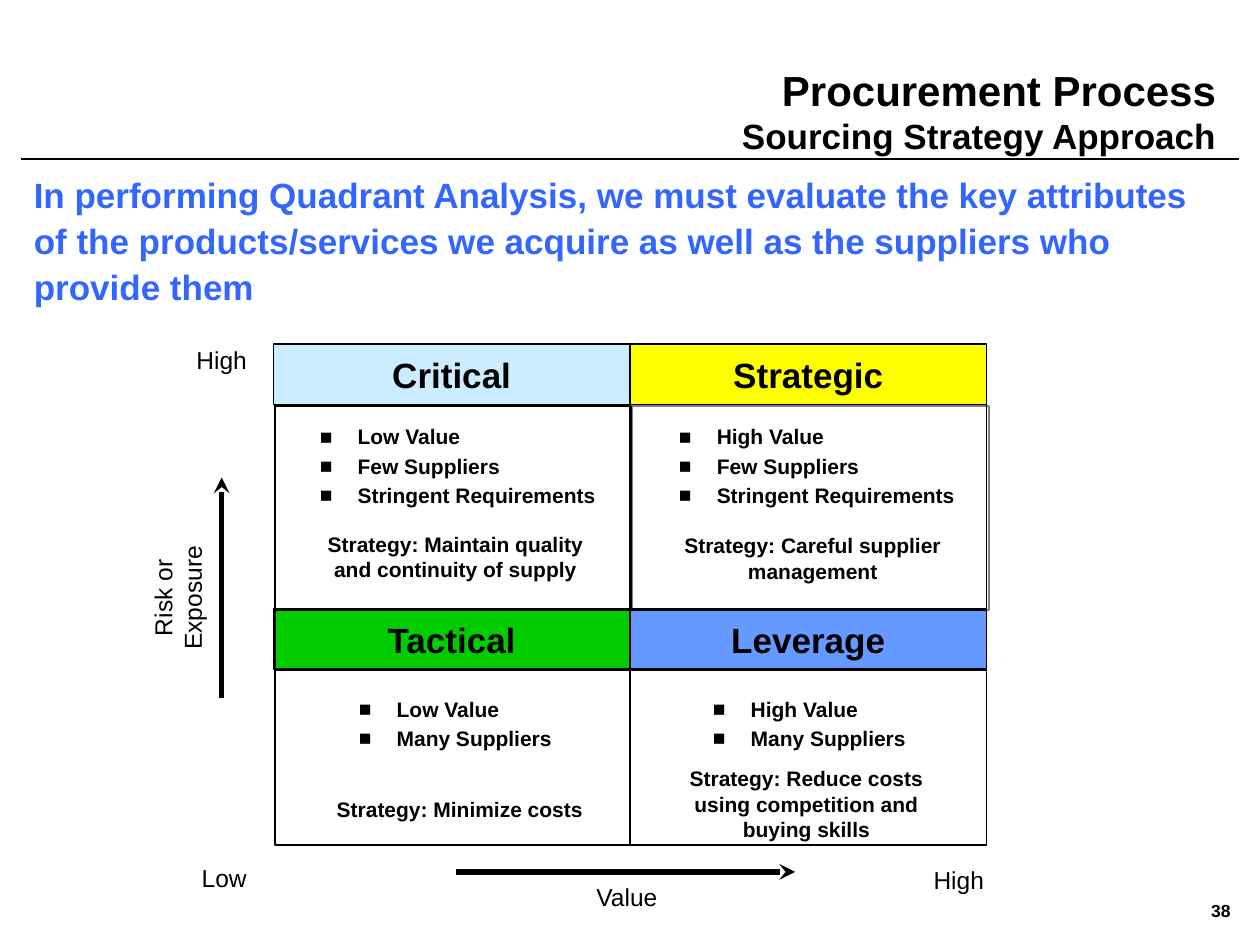
from lxml.etree import SubElement
from pptx import Presentation
from pptx.dml.color import RGBColor
from pptx.enum.shapes import MSO_CONNECTOR, MSO_SHAPE
from pptx.enum.text import MSO_ANCHOR, PP_ALIGN
from pptx.oxml.ns import qn
from pptx.util import Inches, Pt

COLORS = {
    "black": "000000",
    "gray": "808080",
    "headline": "3366FF",
    "critical": "CCECFF",
    "strategic": "FFFF00",
    "tactical": "00CC00",
    "leverage": "6699FF",
}
FONT = "Arial"
CELL_WIDTH = 2.83
HEADER_HEIGHT = 0.48
COLUMNS = (2.17, 5)
HEADER_TOPS = (2.73, 4.83)

# name, column, row, bullets (left, top, width, height, items),
# strategy (left, top, width, height, lines)
QUADRANTS = [
    ("Critical", 0, 0,
     (2.44, 3.33, 2.54, 0.87, ["Low Value", "Few Suppliers", "Stringent Requirements"]),
     (2.5, 4.17, 2.23, 0.5, ["Strategy: Maintain quality", "and continuity of supply"])),
    ("Strategic", 1, 0,
     (5.29, 3.33, 2.52, 0.83, ["High Value", "Few Suppliers", "Stringent Requirements"]),
     (5.33, 4.18, 2.24, 0.5, ["Strategy: Careful supplier", "management"])),
    ("Tactical", 0, 1,
     (2.75, 5.49, 1.76, 0.6, ["Low Value", "Many Suppliers"]),
     (2.57, 6.27, 2.16, 0.3, ["Strategy: Minimize costs"])),
    ("Leverage", 1, 1,
     (5.56, 5.49, 1.76, 0.6, ["High Value", "Many Suppliers"]),
     (5.16, 6.03, 2.48, 0.7,
      ["Strategy: Reduce costs", "using competition and", "buying skills"])),
]
AXIS_LABELS = [
    ("High", 1.46, 2.69, 0.6),
    ("Low", 1.5, 6.8, 0.56),
    ("High", 7.31, 6.82, 0.6),
    ("Value", 4.25, 6.95, 1.45),
]


def rgb(name):
    return RGBColor.from_string(COLORS[name])


def write(paragraph, text, size=12, bold=True, color="black",
          align=PP_ALIGN.LEFT, spacing=None, before=None):
    paragraph.alignment = align
    if spacing:
        paragraph.line_spacing = spacing
    if before:
        paragraph.space_before = Pt(before)
    run = paragraph.add_run()
    run.text = text
    run.font.name = FONT
    run.font.size = Pt(size)
    run.font.bold = bold
    run.font.color.rgb = rgb(color)


def add_bullet(paragraph, indent=0.3):
    properties = paragraph._p.get_or_add_pPr()
    properties.set("marL", str(Inches(indent)))
    properties.set("indent", str(-Inches(indent)))
    color = SubElement(properties, qn("a:buClr"))
    SubElement(color, qn("a:srgbClr"), val=COLORS["black"])
    SubElement(properties, qn("a:buFont"), typeface=FONT)
    SubElement(properties, qn("a:buChar"), char="■")


class SlideBuilder:
    """Holds the slide and draws each kind of element in its common style."""

    def __init__(self, slide):
        self.slide = slide

    def text(self, left, top, width, height, lines, anchor=MSO_ANCHOR.TOP,
             wrap=True, rotation=0, sizes=None, bullets=False, before=None, **style):
        """Writes one paragraph per line; sizes gives each line its own size."""
        box = self.slide.shapes.add_textbox(
            Inches(left), Inches(top), Inches(width), Inches(height))
        box.rotation = rotation
        frame = box.text_frame
        frame.word_wrap = wrap
        frame.vertical_anchor = anchor
        for index, line in enumerate(lines):
            paragraph = frame.add_paragraph() if index else frame.paragraphs[0]
            if bullets:
                add_bullet(paragraph)
            if sizes:
                style["size"] = sizes[index]
            write(paragraph, line, before=before if index else None, **style)

    def rectangle(self, left, top, width, height, fill=None, line="black"):
        shape = self.slide.shapes.add_shape(
            MSO_SHAPE.RECTANGLE,
            Inches(left), Inches(top), Inches(width), Inches(height))
        shape.shadow.inherit = False
        if fill:
            shape.fill.solid()
            shape.fill.fore_color.rgb = rgb(fill)
        else:
            shape.fill.background()
        shape.line.color.rgb = rgb(line)
        shape.line.width = Pt(1)

    def line(self, start_x, start_y, end_x, end_y, width=1, arrow=False):
        connector = self.slide.shapes.add_connector(
            MSO_CONNECTOR.STRAIGHT,
            Inches(start_x), Inches(start_y), Inches(end_x), Inches(end_y))
        connector.line.color.rgb = rgb("black")
        connector.line.width = Pt(width)
        if arrow:
            SubElement(connector.line._get_or_add_ln(), qn("a:tailEnd"), type="stealth")
        SubElement(connector._element.spPr, qn("a:effectLst"))


def draw_heading(builder):
    builder.line(0.17, 1.26, 9.83, 1.26)
    builder.text(2.5, 0.25, 7.25, 1.25,
                 ["Procurement Process", "Sourcing Strategy Approach"],
                 anchor=MSO_ANCHOR.MIDDLE, align=PP_ALIGN.RIGHT, sizes=(24, 20))
    builder.text(0.17, 1.57, 9.56, 0.92,
                 ["In performing Quadrant Analysis, we must evaluate the key attributes "
                  "of the products/services we acquire as well as the suppliers who "
                  "provide them"],
                 anchor=MSO_ANCHOR.BOTTOM, size=20, color="headline", spacing=1.1)
    builder.text(9.42, 7.01, 0.54, 0.44, ["38"], anchor=MSO_ANCHOR.MIDDLE,
                 align=PP_ALIGN.CENTER, size=10)


def draw_axes(builder):
    builder.line(1.76, 5.54, 1.76, 3.79, width=3, arrow=True)
    builder.line(3.62, 6.92, 6.31, 6.92, width=3, arrow=True)
    label = {"size": 14, "bold": False, "align": PP_ALIGN.CENTER}
    builder.text(0.75, 4.46, 1.32, 0.57, ["Risk or", "Exposure"], rotation=270, **label)
    for text, left, top, width in AXIS_LABELS:
        builder.text(left, top, width, 0.33, [text], wrap=False, **label)


def draw_matrix(builder):
    builder.rectangle(2.18, 3.22, CELL_WIDTH, 1.62)
    builder.rectangle(5.02, 3.22, CELL_WIDTH, 1.62, line="gray")
    for name, column, row, _, _ in QUADRANTS:
        builder.rectangle(COLUMNS[column], HEADER_TOPS[row],
                          CELL_WIDTH, HEADER_HEIGHT, fill=name.lower())
    builder.rectangle(2.18, 3.21, 5.65, 3.5)
    builder.line(5, 3.2, 5, 6.71)
    for y in (4.84, 5.32):
        builder.line(2.18, y, 7.83, y)
    for name, column, row, bullets, strategy in QUADRANTS:
        builder.text(COLUMNS[column], HEADER_TOPS[row] + 0.03, CELL_WIDTH, 0.43,
                     [name], size=20, align=PP_ALIGN.CENTER)
        builder.text(*bullets, bullets=True, spacing=0.95, before=3)
        builder.text(*strategy, wrap=False, align=PP_ALIGN.CENTER)


def main():
    presentation = Presentation()
    presentation.slide_width = Inches(10)
    presentation.slide_height = Inches(7.5)
    builder = SlideBuilder(presentation.slides.add_slide(presentation.slide_layouts[6]))
    draw_heading(builder)
    draw_axes(builder)
    draw_matrix(builder)
    presentation.save("out.pptx")


if __name__ == "__main__":
    main()
